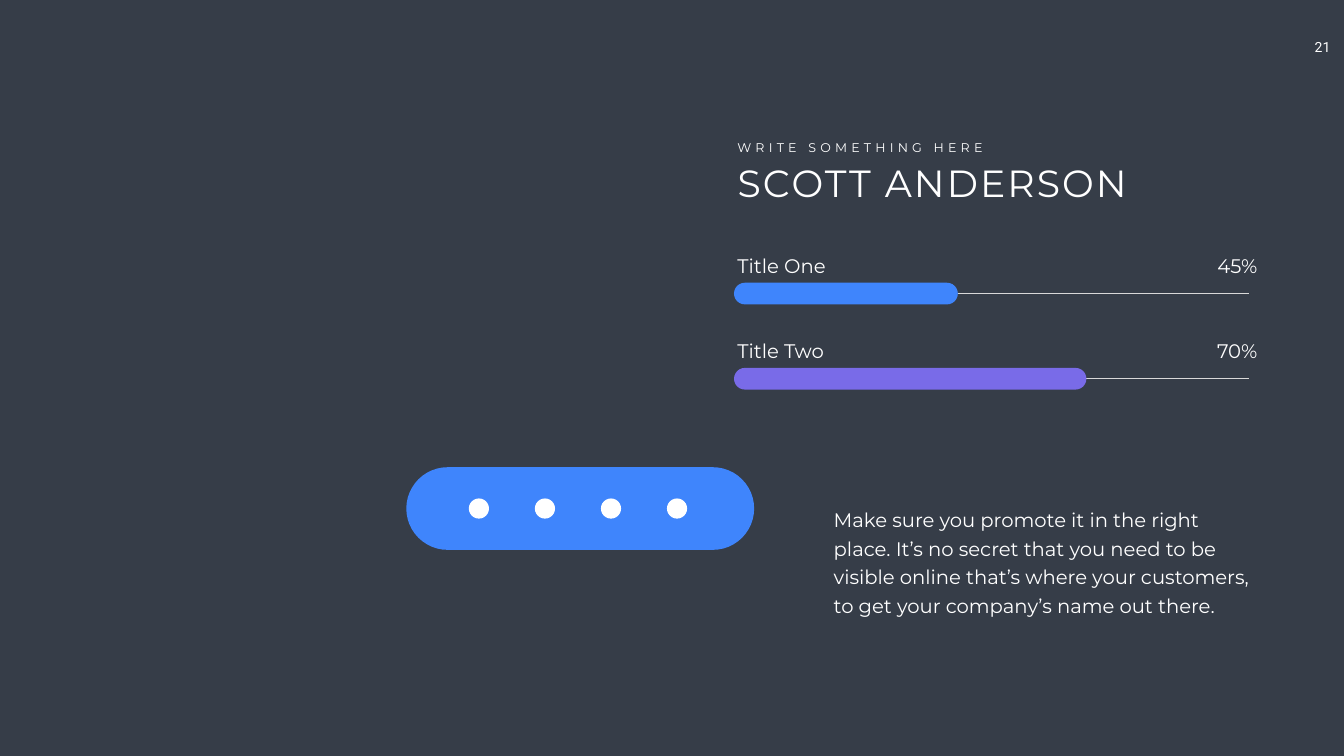
"""Build a dark profile slide with two skill bars and a row of contact icons."""
from lxml.etree import SubElement
from pptx import Presentation
from pptx.dml.color import RGBColor
from pptx.enum.shapes import MSO_CONNECTOR, MSO_SHAPE
from pptx.enum.text import MSO_ANCHOR, MSO_AUTO_SIZE, PP_ALIGN
from pptx.oxml.ns import qn
from pptx.util import Inches, Pt

WHITE, DARK, BLUE, PURPLE, TRACK = "FFFFFF", "363D48", "3F85FC", "796BE8", "D9D9D9"

NAME = "SCOTT ANDERSON"
TAGLINE = "WRITE SOMETHING HERE"
PAGE = "21"
ABOUT = (
    "Make sure you promote it in the right place. It’s no secret that you need "
    "to be visible online that’s where your customers, to get your company’s "
    "name out there."
)
SKILLS = [("Title One", "45%", 4.44, BLUE), ("Title Two", "70%", 6.99, PURPLE)]

LEFT = 14.53
SKILL_TOP, SKILL_PITCH = 4.99, 1.69
BAR_LEFT, BAR_OFFSET, BAR_HEIGHT, TRACK_END = 14.56, 0.62, 0.43, 24.78
PILL = (8.06, 9.27, 6.9, 1.64)
ICON_COUNT, ICON_SIZE, ICON_PITCH, FIRST_ICON = 4, 0.4, 1.31, 9.5


def color(hex_value):
    return RGBColor.from_string(hex_value)


def write(box, text, size, font="Montserrat", align=PP_ALIGN.LEFT, tracking=0, wrap=True):
    frame = box.text_frame
    frame.text = text
    frame.word_wrap = wrap
    frame.auto_size = MSO_AUTO_SIZE.SHAPE_TO_FIT_TEXT
    frame.vertical_anchor = MSO_ANCHOR.TOP
    paragraph = frame.paragraphs[0]
    paragraph.alignment = align
    run = paragraph.runs[0]
    run.font.size = Pt(size)
    run.font.name = font
    run.font.color.rgb = color(WHITE)
    if tracking:
        run._r.get_or_add_rPr().set("spc", str(tracking * 100))
    return paragraph


def add_text(slide, area, text, size, **style):
    return write(slide.shapes.add_textbox(*map(Inches, area)), text, size, **style)


def add_block(slide, kind, area, fill):
    block = slide.shapes.add_shape(kind, *map(Inches, area))
    block.shadow.inherit = False
    block.fill.solid()
    block.fill.fore_color.rgb = color(fill)
    block.line.fill.background()
    if kind == MSO_SHAPE.ROUNDED_RECTANGLE:
        block.adjustments[0] = 0.5
    return block


def add_skill(slide, top, label, share, width, fill):
    add_text(slide, (LEFT, top, 2.72, 0.57), label, 28)
    add_text(slide, (23.37, top, 1.67, 0.57), share, 28, align=PP_ALIGN.RIGHT)
    bar_top = top + BAR_OFFSET
    middle = Inches(bar_top + BAR_HEIGHT / 2)
    track = slide.shapes.add_connector(
        MSO_CONNECTOR.STRAIGHT, Inches(BAR_LEFT), middle, Inches(TRACK_END), middle
    )
    track.line.color.rgb = color(TRACK)
    track.line.width = Pt(1)
    SubElement(track._element.spPr, qn("a:effectLst"))
    area = (BAR_LEFT, bar_top, width, BAR_HEIGHT)
    track.begin_connect(add_block(slide, MSO_SHAPE.ROUNDED_RECTANGLE, area, fill), 1)


def main():
    deck = Presentation()
    deck.slide_width, deck.slide_height = Inches(26.66), Inches(15)
    slide = deck.slides.add_slide(deck.slide_layouts[5])
    slide.background.fill.solid()
    slide.background.fill.fore_color.rgb = color(DARK)

    title = slide.shapes.title
    title.left, title.top, title.width, title.height = map(Inches, (LEFT, 3.12, 8.31, 1.01))
    write(title, NAME, 54, tracking=3)
    add_text(slide, (LEFT, 2.72, 5.18, 0.4), TAGLINE, 18, tracking=6, wrap=False)
    add_text(slide, (25.78, 0.72, 0.91, 0.44), PAGE, 20, font="Roboto",
             align=PP_ALIGN.CENTER, wrap=False)
    about = add_text(slide, (16.44, 9.93, 8.6, 2.35), ABOUT, 28)
    about.line_spacing = Pt(40.8)

    for index, skill in enumerate(SKILLS):
        add_skill(slide, SKILL_TOP + index * SKILL_PITCH, *skill)

    add_block(slide, MSO_SHAPE.ROUNDED_RECTANGLE, PILL, BLUE)
    icon_top = PILL[1] + (PILL[3] - ICON_SIZE) / 2
    for index in range(ICON_COUNT):
        icon_left = FIRST_ICON + index * ICON_PITCH - ICON_SIZE / 2
        add_block(slide, MSO_SHAPE.OVAL, (icon_left, icon_top, ICON_SIZE, ICON_SIZE), WHITE)

    deck.save("out.pptx")


if __name__ == "__main__":
    main()
